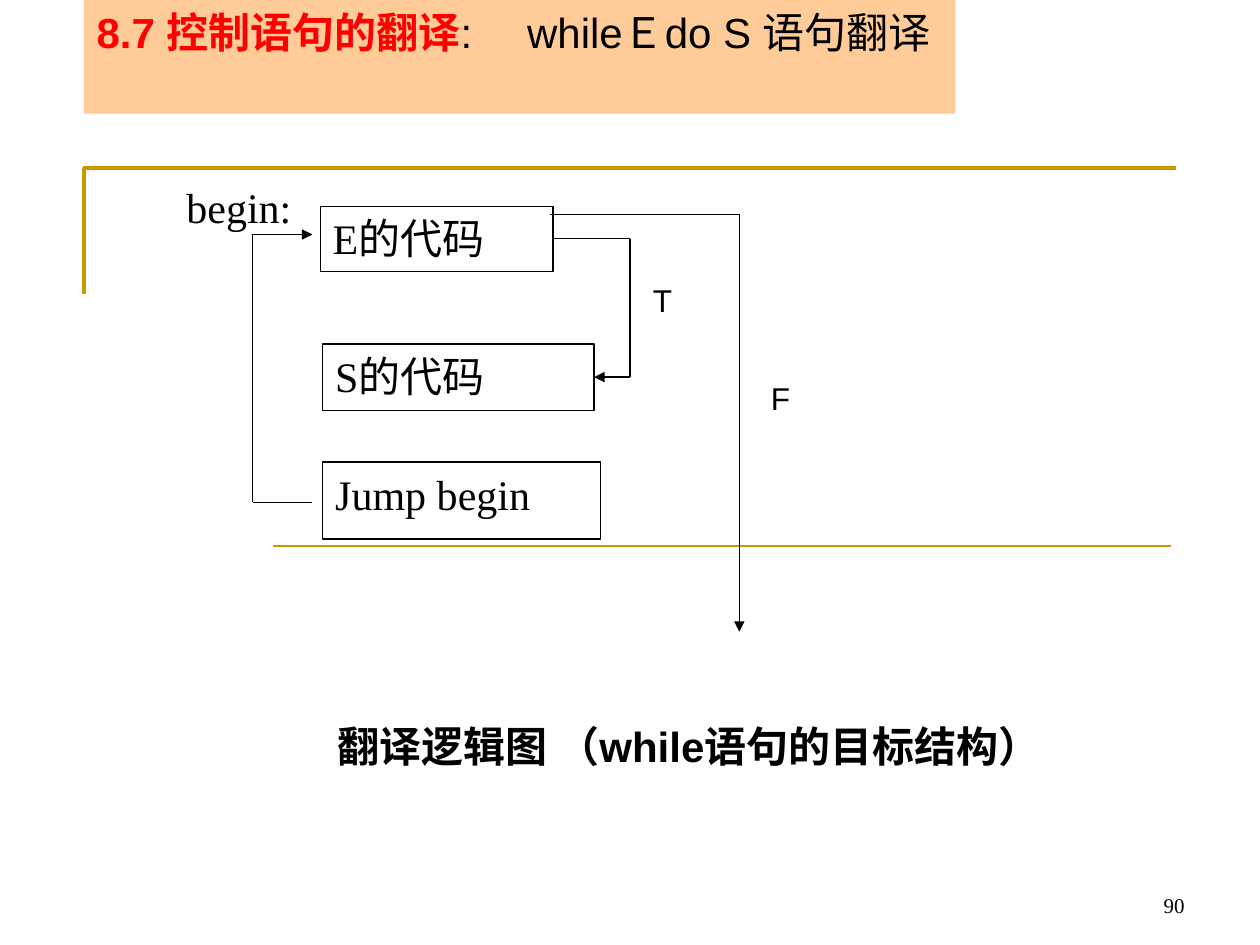
"""Build a slide on translating the while statement into target code."""
import dataclasses
from typing import Optional

import pptx
import pptx.dml.color
import pptx.enum.shapes
import pptx.enum.text
import pptx.oxml
import pptx.oxml.ns
import pptx.util

Pt = pptx.util.Pt
Align = pptx.enum.text.PP_ALIGN
Anchor = pptx.enum.text.MSO_ANCHOR
COLORS = {"ink": "000000", "paper": "FFFFFF", "gold": "CC9900", "banner": "FFCC99", "topic": "FF0000"}
RIGHT_SIDE = 3


@dataclasses.dataclass(frozen=True)
class Block:
    """A rectangle of target code."""
    text: str
    left: float
    top: float
    width: float
    height: float
    outlined: bool = True


@dataclasses.dataclass(frozen=True)
class Label:
    """Free-standing text."""
    text: str
    left: float
    top: float
    width: float
    height: float
    size: float = 18
    font: str = "Arial"
    bold: bool = False
    align: Align = Align.LEFT
    anchor: Anchor = Anchor.TOP


@dataclasses.dataclass(frozen=True)
class Route:
    """A flow of control drawn as straight segments, arrow at the end."""
    points: tuple
    source: Optional[str] = None
    target: Optional[str] = None


BLOCKS = (
    Block("begin:", 99.5, 100, 80, 38, outlined=False),
    Block("E的代码", 183, 118, 133, 37),
    Block("S的代码", 184.5, 196.5, 155, 38),
    Block("Jump begin", 184.5, 264, 158.5, 44),
)
ROUTES = (
    Route(((316, 136.5), (360, 136.5), (360, 215.5), (339.5, 215.5)), "E的代码", "S的代码"),
    Route(((178.5, 287), (144.5, 287), (144.5, 134), (178.5, 134))),
    Route(((314.5, 122.5), (422.5, 122.5), (422.5, 361))),
)
LABELS = (
    Label("T", 366, 157, 45, 29),
    Label("F", 433.5, 213, 45, 29),
    Label("翻译逻辑图 （while语句的目标结构）", 186, 408, 480, 36, 24, bold=True),
    Label("90", 516, 492, 168, 36, 12, "Times New Roman", align=Align.RIGHT, anchor=Anchor.BOTTOM),
)


def rgb(color: str) -> pptx.dml.color.RGBColor:
    """Look up a named colour."""
    return pptx.dml.color.RGBColor.from_string(COLORS[color])


def format_run(run, size: float, font: str, color: str = "ink", bold: bool = False) -> None:
    """Set the font of one run."""
    run.font.size = Pt(size)
    run.font.name = font
    run.font.bold = bold
    run.font.color.rgb = rgb(color)


def draw_title(slide) -> None:
    """Place the two-tone title on its banner."""
    title = slide.shapes.title
    title.left, title.top, title.width, title.height = Pt(48), Pt(0), Pt(498), Pt(65)
    title.fill.solid()
    title.fill.fore_color.rgb = rgb("banner")
    frame = title.text_frame
    frame.word_wrap = True
    frame.auto_size = pptx.enum.text.MSO_AUTO_SIZE.NONE
    frame.vertical_anchor = Anchor.TOP
    frame.text = "8.7 控制语句的翻译"
    heading = frame.paragraphs[0]
    heading.alignment = Align.LEFT
    tabs = pptx.oxml.parse_xml(
        f'<a:tabLst {pptx.oxml.ns.nsdecls("a")}><a:tab pos="{Pt(246)}" algn="l"/></a:tabLst>')
    heading._p.get_or_add_pPr().append(tabs)
    statement = heading.add_run()
    statement.text = ":\twhileＥdo S 语句翻译"
    format_run(heading.runs[0], 24, "Arial", "topic", True)
    format_run(statement, 24, "Arial")


def draw_block(slide, block: Block):
    """Draw a code block and return its shape."""
    box = slide.shapes.add_shape(
        pptx.enum.shapes.MSO_SHAPE.RECTANGLE,
        Pt(block.left), Pt(block.top), Pt(block.width), Pt(block.height))
    box.shadow.inherit = False
    box.fill.solid()
    box.fill.fore_color.rgb = rgb("paper")
    if block.outlined:
        box.line.color.rgb = rgb("ink")
        box.line.width = Pt(0.75)
    else:
        box.line.fill.background()
    frame = box.text_frame
    frame.word_wrap = True
    frame.vertical_anchor = Anchor.TOP
    frame.text = block.text
    frame.paragraphs[0].alignment = Align.JUSTIFY
    format_run(frame.paragraphs[0].runs[0], 24, "Times New Roman")
    return box


def draw_label(slide, label: Label) -> None:
    """Draw free-standing text."""
    box = slide.shapes.add_textbox(Pt(label.left), Pt(label.top), Pt(label.width), Pt(label.height))
    frame = box.text_frame
    frame.word_wrap = True
    frame.vertical_anchor = label.anchor
    frame.text = label.text
    frame.paragraphs[0].alignment = label.align
    format_run(frame.paragraphs[0].runs[0], label.size, label.font, bold=label.bold)


def draw_segment(slide, start: tuple, end: tuple, color: str = "ink", width: float = 0.75, arrow: bool = False):
    """Draw one straight line and return it."""
    segment = slide.shapes.add_connector(
        pptx.enum.shapes.MSO_CONNECTOR.STRAIGHT, *(Pt(value) for value in start + end))
    segment.line.color.rgb = rgb(color)
    segment.line.width = Pt(width)
    namespace = pptx.oxml.ns.nsdecls("a")
    if arrow:
        segment.line._get_or_add_ln().append(
            pptx.oxml.parse_xml(f'<a:tailEnd {namespace} type="triangle"/>'))
    segment._element.spPr.append(pptx.oxml.parse_xml(f"<a:effectLst {namespace}/>"))
    return segment


def draw_route(slide, route: Route, boxes: dict) -> None:
    """Draw a flow of control, joined to its blocks where it touches them."""
    last = len(route.points) - 2
    segments = [
        draw_segment(slide, start, end, arrow=index == last)
        for index, (start, end) in enumerate(zip(route.points, route.points[1:]))
    ]
    if route.source:
        segments[0].begin_connect(boxes[route.source], RIGHT_SIDE)
    if route.target:
        segments[-1].end_connect(boxes[route.target], RIGHT_SIDE)


def draw_frame(slide) -> None:
    """Draw the gold corner and the gold rule."""
    builder = slide.shapes.build_freeform(Pt(48), Pt(168))
    builder.add_line_segments([(Pt(48), Pt(96)), (Pt(672), Pt(96))], close=False)
    corner = builder.convert_to_shape()
    corner.shadow.inherit = False
    corner.fill.background()
    corner.line.color.rgb = rgb("gold")
    corner.line.width = Pt(2)
    draw_segment(slide, (156, 312), (669, 312), "gold", 1.5)


def main() -> None:
    """Build and save the slide."""
    deck = pptx.Presentation()
    deck.slide_width, deck.slide_height = Pt(720), Pt(540)
    slide = deck.slides.add_slide(deck.slide_layouts[5])
    draw_title(slide)
    draw_frame(slide)
    boxes = {block.text: draw_block(slide, block) for block in BLOCKS}
    for route in ROUTES:
        draw_route(slide, route, boxes)
    for label in LABELS:
        draw_label(slide, label)
    deck.save("out.pptx")


if __name__ == "__main__":
    main()
